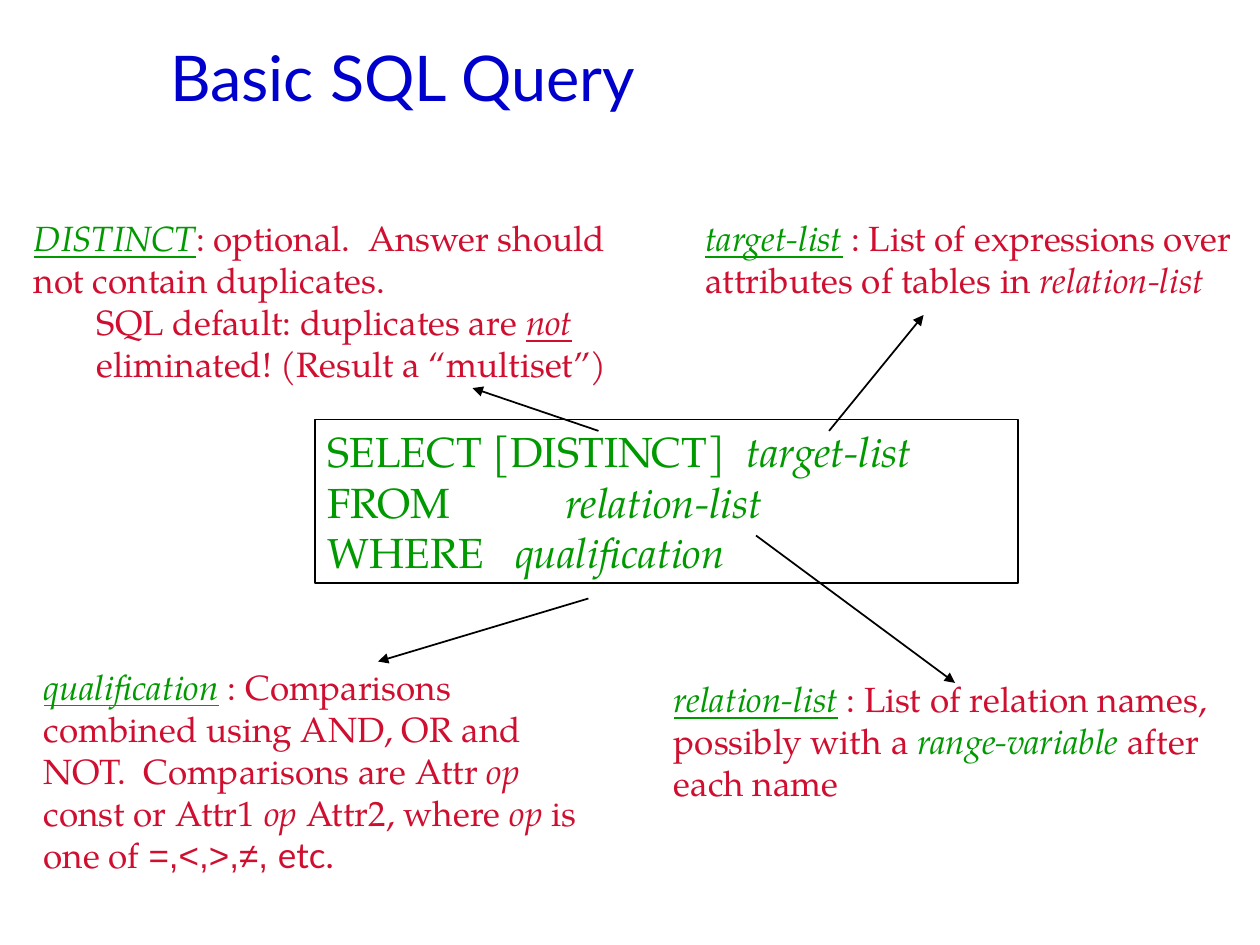
from lxml import etree
from pptx import Presentation
from pptx.dml.color import RGBColor
from pptx.enum.shapes import MSO_CONNECTOR, MSO_SHAPE
from pptx.enum.text import MSO_ANCHOR, PP_ALIGN
from pptx.oxml.ns import qn
from pptx.util import Inches, Pt

STRAIGHT = MSO_CONNECTOR.STRAIGHT
RECTANGLE = MSO_SHAPE.RECTANGLE
TOP, MIDDLE = MSO_ANCHOR.TOP, MSO_ANCHOR.MIDDLE
LEFT = PP_ALIGN.LEFT
TITLE_ONLY = 5

COLORS = {"title": "0000CC", "term": "009900", "note": "CF0E30", "line": "000000"}
SERIF, SANS, SYMBOL = "TeX Gyre Pagella", "Lato", "Arial"

TERM = {"color": "term", "italic": True, "underline": True}
ITALIC = {"italic": True}

NOTES = [
    ((5.25, 5.33, 4.54, 1.1), [[
        ("relation-list", TERM),
        (" : List of relation names, possibly with a ", {}),
        ("range-variable", {"color": "term", "italic": True}),
        (" after each name", {}),
    ]]),
    ((5.5, 1.67, 4.58, 1.1), [[
        ("target-list", TERM),
        (" : List of expressions over attributes of tables in ", {}),
        ("relation-list", ITALIC),
    ]]),
    ((0.17, 1.67, 5.17, 1.94), [
        [
            ("DISTINCT", TERM),
            (": optional.  Answer should not contain duplicates.", {}),
        ],
        [
            ("SQL default: duplicates are ", {}),
            ("not", {"italic": True, "underline": True}),
            (" eliminated! (Result a “multiset”)", {}),
        ],
    ]),
    ((0.25, 5.23, 4.67, 2.28), [[
        ("qualification", TERM),
        (" : Comparisons combined using AND, OR and NOT.  Comparisons are Attr ", {}),
        ("op", ITALIC),
        (" const or Attr1 ", {}),
        ("op", ITALIC),
        (" Attr2, where ", {}),
        ("op", ITALIC),
        (" is one of ", {}),
        ("=,<,>,≠, ", {"font": SYMBOL}),
        ("etc.", {"font": SANS}),
    ]]),
]

CLAUSES = [
    ("SELECT [DISTINCT]", "target-list", 3.33),
    ("FROM", "relation-list", 1.89),
    ("WHERE", "qualification", 1.49),
]

ARROWS = [
    ((4.67, 4.75), (3, 5.25)),
    ((6, 4.25), (7.58, 5.42)),
    ((6.58, 3.42), (7.33, 2.5)),
    ((4.75, 3.42), (3.75, 3.08)),
]


def rgb(name):
    return RGBColor.from_string(COLORS[name])


def add_text(paragraph, text, size=20, font=SERIF, color="note", italic=False, underline=False):
    run = paragraph.add_run()
    run.text = text
    run.font.size = Pt(size)
    run.font.name = font
    run.font.color.rgb = rgb(color)
    run.font.italic = italic
    run.font.underline = underline


def add_paragraph(frame, index, indent=0, tab=None):
    paragraph = frame.paragraphs[0] if index == 0 else frame.add_paragraph()
    paragraph.alignment = LEFT
    properties = paragraph._p.get_or_add_pPr()
    if indent:
        properties.set("marL", str(Inches(indent)))
        properties.set("indent", "0")
    if tab:
        tabs = etree.SubElement(properties, qn("a:tabLst"))
        etree.SubElement(tabs, qn("a:tab"), pos=str(Inches(tab)), algn="l")
    return paragraph


def add_title(slide, text):
    title = slide.shapes.title
    title.left, title.top, title.width, title.height = map(Inches, (1.25, 0, 8.42, 1.21))
    title.text_frame.vertical_anchor = MIDDLE
    paragraph = add_paragraph(title.text_frame, 0)
    add_text(paragraph, text, size=36, font=SANS, color="title")


def add_note(slide, box, paragraphs):
    frame = slide.shapes.add_textbox(*map(Inches, box)).text_frame
    frame.word_wrap = True
    for index, runs in enumerate(paragraphs):
        paragraph = add_paragraph(frame, index, indent=0.5 * index)
        for text, style in runs:
            add_text(paragraph, text, **style)


def add_query(slide, box, clauses):
    shape = slide.shapes.add_shape(RECTANGLE, *map(Inches, box))
    shape.shadow.inherit = False
    shape.fill.background()
    shape.line.color.rgb = rgb("line")
    shape.line.width = Pt(1)
    frame = shape.text_frame
    frame.word_wrap = True
    frame.vertical_anchor = TOP
    for index, (keyword, operand, tab) in enumerate(clauses):
        paragraph = add_paragraph(frame, index, tab=tab)
        add_text(paragraph, keyword + "\t", size=24, color="term")
        add_text(paragraph, operand, size=24, color="term", italic=True)


def add_arrow(slide, start, end):
    arrow = slide.shapes.add_connector(STRAIGHT, *map(Inches, start + end))
    arrow.line.color.rgb = rgb("line")
    arrow.line.width = Pt(1)
    etree.SubElement(arrow.line._get_or_add_ln(), qn("a:tailEnd"), type="triangle")
    etree.SubElement(arrow._element.spPr, qn("a:effectLst"))


def main():
    presentation = Presentation()
    presentation.slide_width = Inches(10)
    presentation.slide_height = Inches(7.5)
    slide = presentation.slides.add_slide(presentation.slide_layouts[TITLE_ONLY])
    add_title(slide, "Basic SQL Query")
    add_query(slide, (2.5, 3.33, 5.58, 1.3), CLAUSES)
    for box, paragraphs in NOTES:
        add_note(slide, box, paragraphs)
    for start, end in ARROWS:
        add_arrow(slide, start, end)
    presentation.save("out.pptx")


if __name__ == "__main__":
    main()
